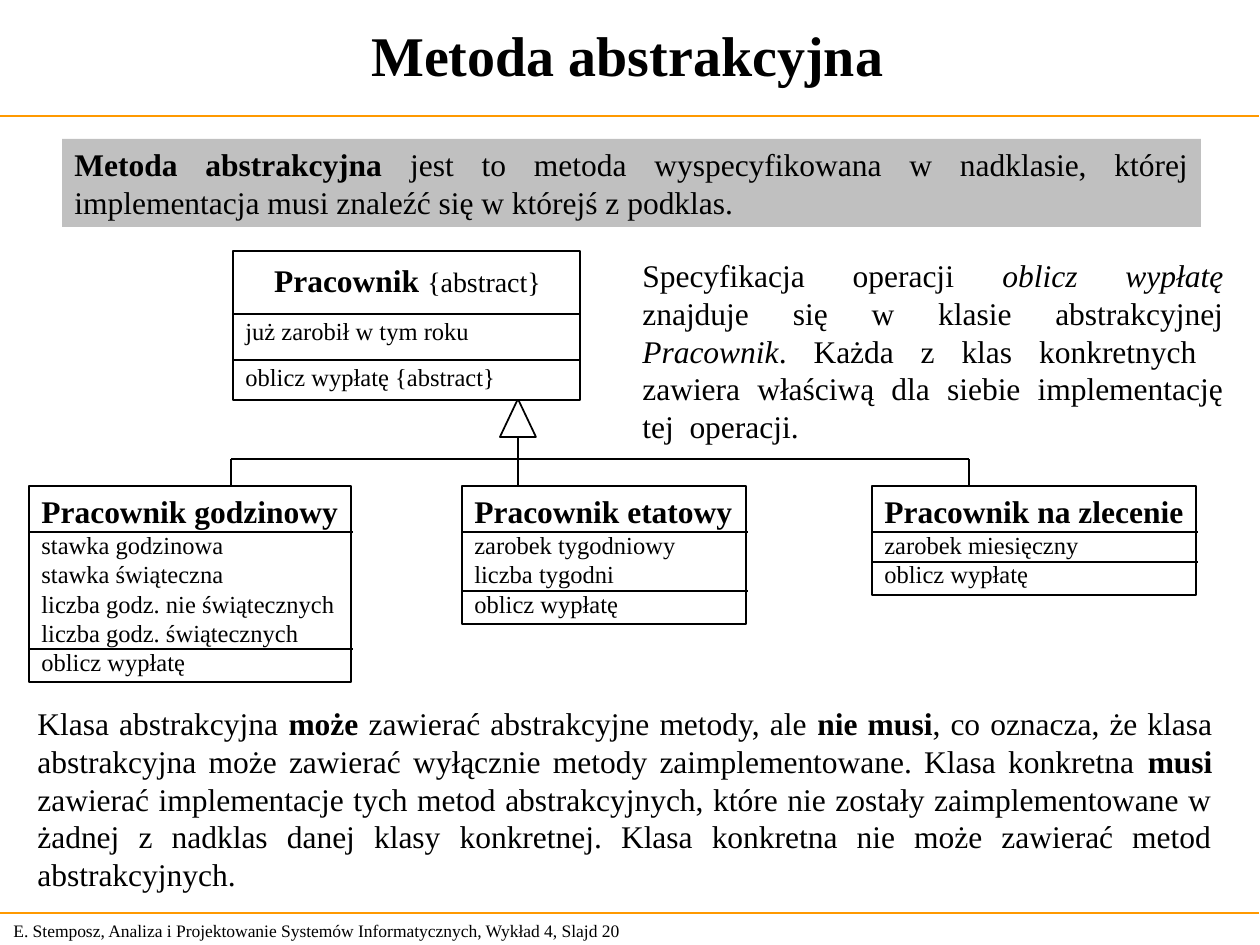
"""Builds the lecture slide on abstract methods with its class diagram."""
from lxml.etree import SubElement
from pptx import Presentation
from pptx.dml.color import RGBColor
from pptx.enum.shapes import MSO_CONNECTOR as Connector, MSO_SHAPE as Shape
from pptx.enum.text import MSO_ANCHOR as Anchor, PP_ALIGN as Align
from pptx.oxml.ns import qn
from pptx.util import Emu, Pt

COLORS = {"ink": "000000", "paper": "FFFFFF", "rule": "FF9900", "band": "C0C0C0"}
FONT = "Times New Roman"
PX_PER_INCH = 126
ROW = 29


def px(length):
    return Emu(round(length * 914400 / PX_PER_INCH))


def color(name):
    return RGBColor.from_string(COLORS[name])


def write(paragraph, text, size=18, bold=False, italic=False):
    run = paragraph.add_run()
    run.text = text
    font = run.font
    font.name, font.size, font.bold, font.italic = FONT, Pt(size), bold, italic
    font.color.rgb = color("ink")


class ClassSlide:
    def __init__(self, deck):
        self.slide = deck.slides.add_slide(deck.slide_layouts[6])
        self.shapes = self.slide.shapes

    def fill_text(self, shape, paragraphs, align=Align.LEFT, anchor=Anchor.TOP,
                  wrap=True, top=6, gap=0):
        frame = shape.text_frame
        frame.word_wrap, frame.vertical_anchor = wrap, anchor
        frame.margin_top = px(top)
        for index, runs in enumerate(paragraphs):
            paragraph = frame.add_paragraph() if index else frame.paragraphs[0]
            paragraph.alignment = align
            if index and gap:
                paragraph.space_before = Pt(gap)
            for text, style in runs:
                write(paragraph, text, **style)

    def text(self, box, runs, **layout):
        self.fill_text(self.shapes.add_textbox(*map(px, box)), [runs], **layout)

    def block(self, box, paragraphs=(), kind=Shape.RECTANGLE, fill="paper",
              outlined=True, **layout):
        shape = self.shapes.add_shape(kind, *map(px, box))
        shape.shadow.inherit = False
        shape.fill.solid()
        shape.fill.fore_color.rgb = color(fill)
        if outlined:
            shape.line.color.rgb = color("ink")
            shape.line.width = Pt(1)
        else:
            shape.line.fill.background()
        self.fill_text(shape, paragraphs, **layout)

    def line(self, x1, y1, x2, y2, ink="ink", width=1):
        line = self.shapes.add_connector(Connector.STRAIGHT, *map(px, (x1, y1, x2, y2)))
        line.line.color.rgb = color(ink)
        line.line.width = Pt(width)
        SubElement(line._element.spPr, qn("a:effectLst"))

    def subclass(self, left, width, name, attributes, operation):
        top, count = 486, len(attributes)
        members = [[(member, SMALL)] for member in (*attributes, operation)]
        self.block((left, top, width, 80 + ROW * count),
                   [[(name, BOLD)], *members], wrap=False)
        for y in (top + 46, top + 47 + ROW * count):
            self.line(left, y, left + width + 2, y)


PLAIN, BOLD, ITALIC, SMALL = {}, {"bold": True}, {"italic": True}, {"size": 14}

SUBCLASSES = [
    (29, 322, "Pracownik godzinowy",
     ["stawka godzinowa", "stawka świąteczna", "liczba godz. nie świątecznych",
      "liczba godz. świątecznych"]),
    (462, 284, "Pracownik etatowy", ["zarobek tygodniowy", "liczba tygodni"]),
    (872, 324, "Pracownik na zlecenie", ["zarobek miesięczny"]),
]

DEFINITION = [
    ("Metoda abstrakcyjna ", BOLD),
    ("jest to metoda wyspecyfikowana w nadklasie, której implementacja musi "
     "znaleźć się w którejś z podklas.", PLAIN),
]

SPECIFICATION = [
    ("Specyfikacja  operacji  ", PLAIN),
    ("oblicz  wypłatę ", ITALIC),
    ("znajduje się w klasie abstrakcyjnej ", PLAIN),
    ("Pracownik", ITALIC),
    (". Każda z klas konkretnych  zawiera właściwą dla siebie implementację "
     "tej  operacji.", PLAIN),
]

CONCLUSION = [
    ("Klasa abstrakcyjna ", PLAIN),
    ("może", BOLD),
    (" zawierać abstrakcyjne metody, ale ", PLAIN),
    ("nie musi", BOLD),
    (", co oznacza, że klasa abstrakcyjna może zawierać wyłącznie metody "
     "zaimplementowane. Klasa konkretna ", PLAIN),
    ("musi", BOLD),
    (" zawierać implementacje tych metod abstrakcyjnych, które nie zostały "
     "zaimplementowane w żadnej z nadklas danej klasy konkretnej. Klasa konkretna "
     "nie może zawierać metod abstrakcyjnych.", PLAIN),
]


def main():
    deck = Presentation()
    deck.slide_width, deck.slide_height = px(1260), px(945)
    page = ClassSlide(deck)

    page.text((1, 914, 660, 34),
              [("E. Stemposz, Analiza i Projektowanie Systemów Informatycznych, "
                "Wykład 4, Slajd 20", {"size": 10})], anchor=Anchor.MIDDLE)
    page.line(0, 116, 1259, 116, "rule")
    page.line(0, 913, 1259, 913, "rule", 0.75)
    page.text((0, 1, 1255, 107), [("Metoda abstrakcyjna", {"size": 32, "bold": True})],
              align=Align.CENTER, anchor=Anchor.MIDDLE)
    page.block((62, 139, 1139, 88), [DEFINITION], fill="band", outlined=False,
               align=Align.JUSTIFY)
    page.text((630, 250, 606, 202), SPECIFICATION, align=Align.JUSTIFY)

    page.line(518, 373, 518, 510)
    page.block((500, 399, 36, 38), kind=Shape.ISOSCELES_TRIANGLE)
    page.line(231, 459, 969, 459)
    for branch in (231, 969):
        page.line(branch, 459, branch, 505)
    for left, width, name, attributes in SUBCLASSES:
        page.subclass(left, width, name, attributes, "oblicz wypłatę")

    page.block((233, 251, 347, 149),
               [[("już zarobił w tym roku", SMALL)],
                [("oblicz wypłatę {abstract}", SMALL)]], top=65, gap=9.6)
    for y in (314, 360):
        page.line(233, y, 581, y)
    page.text((25, 698, 1200, 202), CONCLUSION, align=Align.JUSTIFY)
    page.text((242, 255, 331, 50),
              [("Pracownik ", BOLD), ("{abstract}", {"size": 16})],
              align=Align.CENTER)
    deck.save("out.pptx")


if __name__ == "__main__":
    main()
